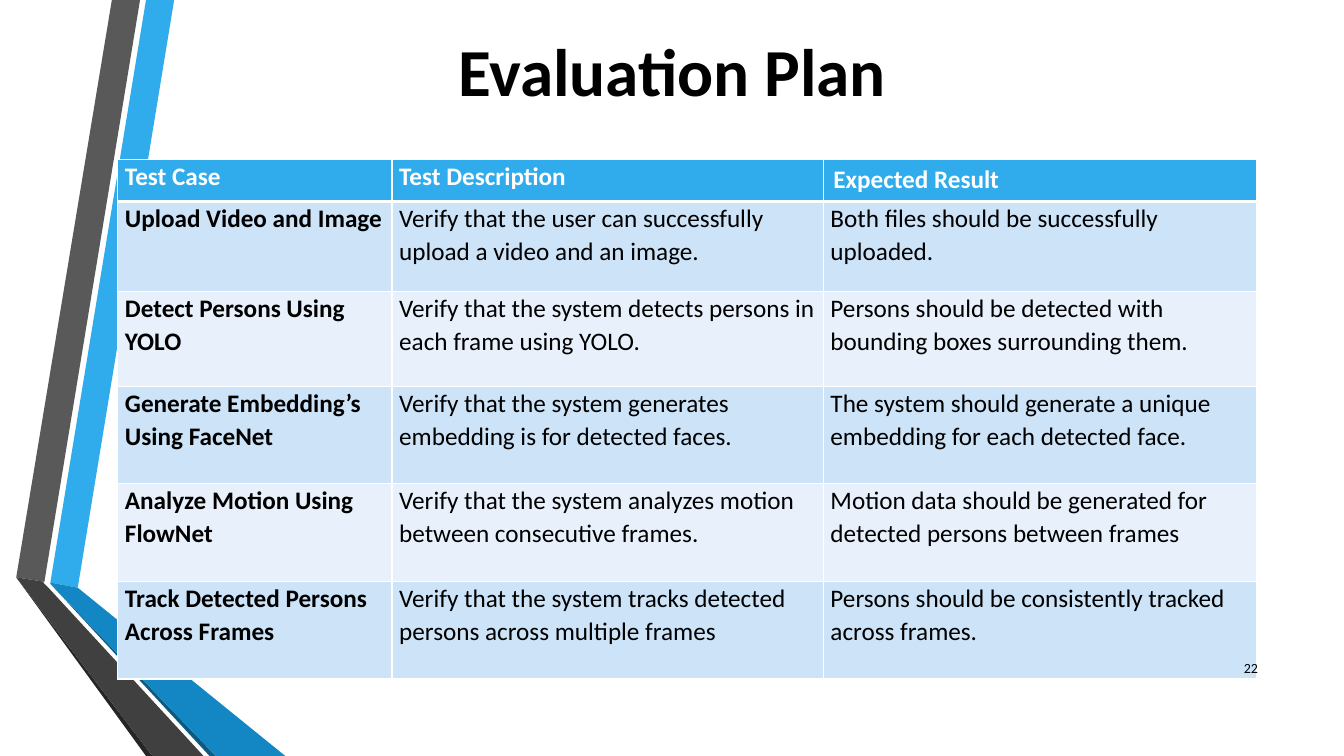
from dataclasses import dataclass

from lxml import etree
from pptx import Presentation
from pptx.dml.color import RGBColor
from pptx.enum import text as text_enum
from pptx.oxml import ns
from pptx.util import Cm, Pt

COLORS = {
    "white": "FFFFFF",
    "black": "000000",
    "blue": "30ACEC",
    "mid_blue": "1287C3",
    "deep_blue": "0C5A82",
    "grey": "595959",
    "dark_grey": "404040",
    "shadow_grey": "262626",
    "band_dark": "CDE3F8",
    "band_light": "E8F1FB",
}
FONT = "Calibri"
ALIGN = text_enum.PP_ALIGN


@dataclass
class Ribbon:
    color: str
    points: list[tuple[float, float]]


@dataclass
class Label:
    words: str
    left: float
    top: float
    width: float
    height: float
    size: int
    bold: bool
    align: ALIGN


RIBBONS = [
    Ribbon("blue", [(1.27, 14.68), (1.96, 14.81), (4.39, 0), (3.68, 0)]),
    Ribbon("grey", [(3.53, 0), (2.82, 0), (0.41, 14.55), (1.12, 14.66)]),
    Ribbon("shadow_grey", [(0.41, 14.55), (3.68, 19.05), (3.84, 19.05)]),
    Ribbon("deep_blue", [(1.27, 14.71), (5.28, 19.05), (5.44, 19.05)]),
    Ribbon("mid_blue", [(1.27, 14.68), (1.27, 14.71), (5.44, 19.05),
                        (7.19, 19.05), (1.96, 14.81)]),
    Ribbon("dark_grey", [(5.13, 19.05), (1.22, 14.81), (1.09, 14.68),
                         (1.12, 14.66), (0.41, 14.55), (3.84, 19.05)]),
]
LABELS = [
    Label("22", 30.43, 16.31, 1.52, 1.02, 10, False, ALIGN.RIGHT),
    Label("Evaluation Plan", 9.3, 0.61, 15.29, 2.31, 48, True, ALIGN.CENTER),
]
TEST_CASES = [
    ("Test Case", "Test Description", "Expected Result"),
    ("Upload Video and Image",
     "Verify that the user can successfully upload a video and an image.",
     "Both files should be successfully uploaded."),
    ("Detect Persons Using YOLO",
     "Verify that the system detects persons in each frame using YOLO.",
     "Persons should be detected with bounding boxes surrounding them."),
    ("Generate Embedding’s Using FaceNet",
     "Verify that the system generates embedding is for detected faces.",
     "The system should generate a unique embedding for each detected face."),
    ("Analyze Motion Using FlowNet",
     "Verify that the system analyzes motion between consecutive frames.",
     "Motion data should be generated for detected persons between frames"),
    ("Track Detected Persons Across Frames",
     "Verify that the system tracks detected persons across multiple frames",
     "Persons should be consistently tracked across frames."),
]
COLUMN_WIDTHS = [6.91, 10.87, 10.92]
ROW_HEIGHTS = [1.07, 2.26, 2.39, 2.46, 2.46, 2.46]


def rgb(name: str) -> RGBColor:
    return RGBColor.from_string(COLORS[name])


def style_font(paragraph, size: int, bold: bool, color: str) -> None:
    for span in paragraph.runs:
        span.font.name = FONT
        span.font.size = Pt(size)
        span.font.bold = bold
        span.font.color.rgb = rgb(color)


def draw_ribbon(page, ribbon: Ribbon) -> None:
    start, *others = [(Cm(x), Cm(y)) for x, y in ribbon.points]
    builder = page.shapes.build_freeform(*start)
    builder.add_line_segments(others, close=True)
    shape = builder.convert_to_shape()
    shape.shadow.inherit = False
    shape.fill.solid()
    shape.fill.fore_color.rgb = rgb(ribbon.color)
    shape.line.fill.background()


def draw_label(page, label: Label) -> None:
    box = page.shapes.add_textbox(
        Cm(label.left), Cm(label.top), Cm(label.width), Cm(label.height))
    frame = box.text_frame
    frame.word_wrap = True
    frame.vertical_anchor = text_enum.MSO_ANCHOR.MIDDLE
    frame.text = label.words
    frame.paragraphs[0].alignment = label.align
    style_font(frame.paragraphs[0], label.size, label.bold, "black")


def set_borders(cell, widths: dict[str, int]) -> None:
    properties = cell._tc.get_or_add_tcPr()
    for index, (side, width) in enumerate(widths.items()):
        line = etree.Element(ns.qn(f"a:ln{side}"), w=str(Pt(width)))
        fill = etree.SubElement(line, ns.qn("a:solidFill"))
        etree.SubElement(fill, ns.qn("a:srgbClr"), val=COLORS["white"])
        properties.insert(index, line)  # borders come before the fill


def fill_cell(cell, words: str, row: int, column: int) -> None:
    header = row == 0
    band = "blue" if header else "band_dark" if row % 2 else "band_light"
    cell.fill.solid()
    cell.fill.fore_color.rgb = rgb(band)
    cell.text_frame.text = words
    paragraph = cell.text_frame.paragraphs[0]
    roomy = header and column == 2
    cell.margin_left = cell.margin_right = Cm(0.25 if roomy else 0.18)
    cell.margin_top = cell.margin_bottom = Cm(0.13 if roomy else 0)
    if not roomy:
        paragraph.line_spacing = 1.07
        paragraph.space_after = Pt(8)
    style_font(paragraph, 18, header or column == 0,
               "white" if header else "black")
    set_borders(cell, {"L": 1, "R": 1, "T": 3 if row == 1 else 1,
                       "B": 3 if header else 1})


def draw_table(page) -> None:
    table = page.shapes.add_table(
        len(ROW_HEIGHTS), len(COLUMN_WIDTHS), Cm(2.97), Cm(4.01),
        Cm(sum(COLUMN_WIDTHS)), Cm(sum(ROW_HEIGHTS))).table
    for column, width in zip(table.columns, COLUMN_WIDTHS):
        column.width = Cm(width)
    for row, height in zip(table.rows, ROW_HEIGHTS):
        row.height = Cm(height)
    for row, entries in enumerate(TEST_CASES):
        for column, words in enumerate(entries):
            fill_cell(table.cell(row, column), words, row, column)


def main() -> None:
    deck = Presentation()
    deck.slide_width, deck.slide_height = Cm(33.87), Cm(19.05)
    page = deck.slides.add_slide(deck.slide_layouts[6])

    # Folded ribbons on the left
    for ribbon in RIBBONS:
        draw_ribbon(page, ribbon)

    # Test plan
    draw_table(page)

    # Page number and title
    for label in LABELS:
        draw_label(page, label)

    deck.save("out.pptx")


if __name__ == "__main__":
    main()
